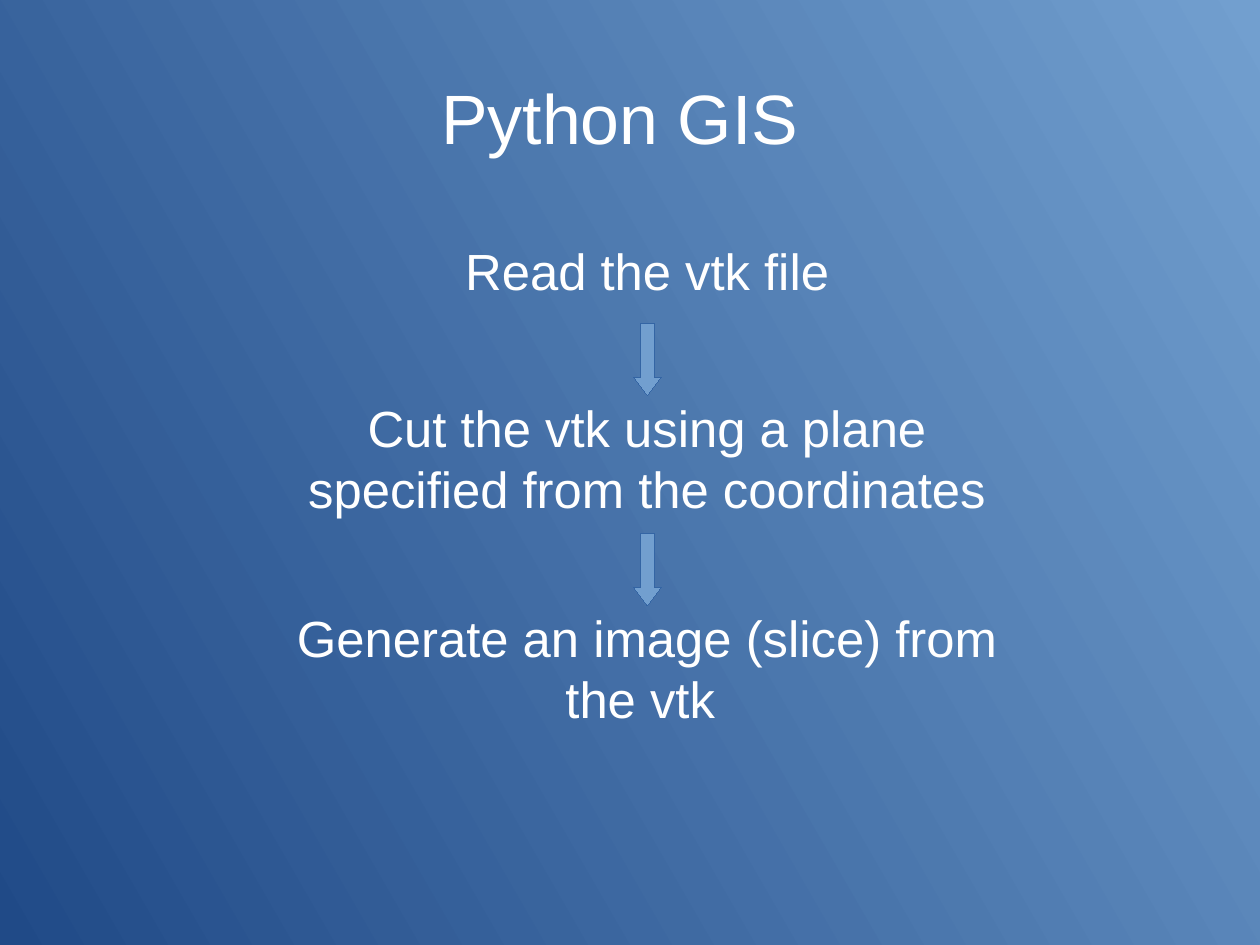
import dataclasses

import pptx
import pptx.dml.color
import pptx.enum.shapes
import pptx.enum.text
import pptx.util

Inches = pptx.util.Inches
Pt = pptx.util.Pt
RGB = pptx.dml.color.RGBColor.from_string


@dataclasses.dataclass(frozen=True)
class Theme:
    font: str = "Arial"
    text: str = "FFFFFF"
    light: str = "729FCF"
    dark: str = "204A87"
    outline: str = "3465A4"
    hairline: int = pptx.util.Emu(1)
    title_size: int = 44
    step_size: int = 32


THEME = Theme()

# Text of each step and the distance down to the next one
STEPS = [
    ("Read the vtk file", 1.37),
    ("Cut the vtk using a plane specified from the coordinates", 1.84),
    ("Generate an image (slice) from the vtk ", 1.84),
]


def paint_background(slide):
    fill = slide.background.fill
    fill.gradient()
    fill.gradient_angle = 210
    for stop, color, position in zip(fill.gradient_stops, (THEME.light, THEME.dark), (0, 1)):
        stop.color.rgb = RGB(color)
        stop.position = position


def add_text(slide, left, top, width, height, text, size):
    """Add a centred, wrapping text box and return its frame."""
    box = slide.shapes.add_textbox(Inches(left), Inches(top), Inches(width), Inches(height))
    frame = box.text_frame
    frame.word_wrap = True
    paragraph = frame.paragraphs[0]
    paragraph.text = text
    paragraph.alignment = pptx.enum.text.PP_ALIGN.CENTER
    paragraph.font.name = THEME.font
    paragraph.font.size = Pt(size)
    paragraph.font.color.rgb = RGB(THEME.text)
    return frame


def add_title(slide, left, top, width, height, text):
    frame = add_text(slide, left, top, width, height, text, THEME.title_size)
    frame.vertical_anchor = pptx.enum.text.MSO_ANCHOR.MIDDLE
    frame.margin_left = frame.margin_right = frame.margin_top = frame.margin_bottom = 0


def add_down_arrow(slide, center, top, width=0.24, height=0.63):
    arrow = slide.shapes.add_shape(
        pptx.enum.shapes.MSO_SHAPE.DOWN_ARROW,
        Inches(center - width / 2), Inches(top), Inches(width), Inches(height))
    arrow.adjustments[0] = 0.5
    arrow.adjustments[1] = 0.67
    arrow.shadow.inherit = False
    arrow.fill.solid()
    arrow.fill.fore_color.rgb = RGB(THEME.light)
    arrow.line.color.rgb = RGB(THEME.outline)
    arrow.line.width = THEME.hairline


def add_flow(slide, left, top, width, steps):
    """Stack the steps downwards, with an arrow leading into each but the first."""
    arrow_lead = 0.59
    for index, (text, pitch) in enumerate(steps):
        if index:
            add_down_arrow(slide, left + width / 2, top - arrow_lead)
        add_text(slide, left, top, width, pitch - 0.25, text, THEME.step_size)
        top += pitch


def main():
    presentation = pptx.Presentation()
    # These point sizes give the exact page, which two-decimal inches would miss
    presentation.slide_width = Pt(793.75)
    presentation.slide_height = Pt(595.25)
    slide = presentation.slides.add_slide(presentation.slide_layouts[6])
    paint_background(slide)
    add_title(slide, 0.55, 0.33, 9.92, 1.38, "Python GIS ")
    add_flow(slide, 2.2, 2.05, 6.93, STEPS)
    presentation.save("out.pptx")


if __name__ == "__main__":
    main()
